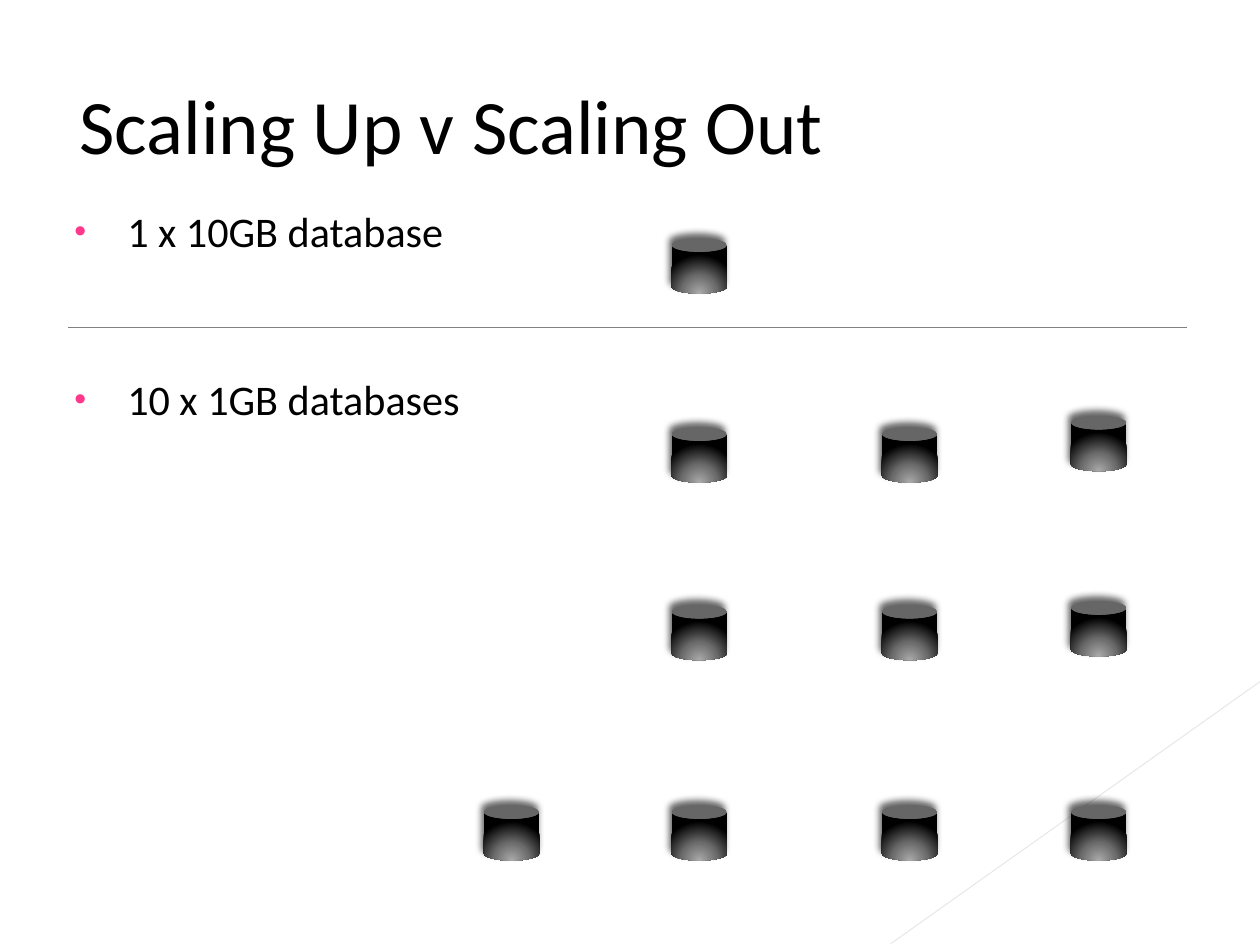
import pptx
import pptx.dml.color
import pptx.enum.shapes
import pptx.enum.text
import pptx.oxml
import pptx.oxml.ns
import pptx.util

RGBColor = pptx.dml.color.RGBColor
Inches = pptx.util.Inches
Pt = pptx.util.Pt
Anchor = pptx.enum.text.MSO_ANCHOR

BLACK = RGBColor(0x00, 0x00, 0x00)
PINK = RGBColor(0xFF, 0x38, 0x8C)
RULE_GREY = RGBColor(0x80, 0x80, 0x80)
PALE_GREY = RGBColor(0xC6, 0xC6, 0xC6)
CAN_LIGHT = RGBColor(0xAB, 0xAB, 0xAB)
CAN_MIDDLE = RGBColor(0x6C, 0x6C, 0x6C)

FONT = "Calibri"
CAN_SIZE = 0.44
NAMESPACE = pptx.oxml.ns.nsdecls("a")

# Boxes are left, top, width, height in inches
TITLE_BOX = (0, 0.22, 10, 1.53)
LIST_BOX = (0.42, 1.58, 4.5, 1.83)
SCALE_UP_BOX = (5.33, 1.89, CAN_SIZE, CAN_SIZE)
SCALE_OUT_BOX = (3.84, 3.39, 5.1, 3.44)

# Offsets of the can grid inside its box
CAN_COLUMNS = (0, 1.49, 3.16, 4.66)
CAN_ROWS = (0, 1.41, 3)
LAST_COLUMN_LIFT = (0.09, 0.03, 0)


def add_xml(parent, markup):
    tag, rest = markup.split(">", 1)
    closing = "/" if tag.endswith("/") else ""
    element = pptx.oxml.parse_xml(f"{tag.rstrip('/')} {NAMESPACE}{closing}>{rest}")
    parent.append(element)
    return element


def place(shape, box):
    shape.left, shape.top, shape.width, shape.height = map(Inches, box)


def write(para, text, size, color=BLACK, space_before=0):
    para.alignment = pptx.enum.text.PP_ALIGN.LEFT
    para.space_before = Pt(space_before)
    span = para.add_run()
    span.text = text
    span.font.name = FONT
    span.font.size = Pt(size)
    span.font.color.rgb = color


def add_line(page, start, end, color, width):
    line = page.shapes.add_connector(
        pptx.enum.shapes.MSO_CONNECTOR.STRAIGHT, *map(Inches, start + end))
    line.line.color.rgb = color
    line.line.width = Pt(width)
    add_xml(line._element.spPr, "<a:effectLst/>")
    return line


def add_corner_line(page):
    line = add_line(page, (10, 5.41), (7.07, 7.49), PALE_GREY, 0.47)
    color = next(line._element.spPr.iter(pptx.oxml.ns.qn("a:srgbClr")))
    add_xml(color, '<a:alpha val="45000"/>')
    # Behind the placeholders
    page.shapes._spTree.insert(2, line._element)


def add_title(page, box):
    title = page.shapes.title
    place(title, box)
    frame = title.text_frame
    frame.auto_size = pptx.enum.text.MSO_AUTO_SIZE.NONE
    frame.vertical_anchor = Anchor.MIDDLE
    frame.margin_left = Inches(0.63)
    write(frame.paragraphs[0], "Scaling Up v Scaling Out", 44)


def add_list(page, box):
    body = page.placeholders[1]
    place(body, box)
    frame = body.text_frame
    frame.auto_size = pptx.enum.text.MSO_AUTO_SIZE.NONE
    frame.vertical_anchor = Anchor.TOP
    items = (("1 x 10GB database", 0), ("10 x 1GB databases", 67))
    for index, (text, gap) in enumerate(items):
        para = frame.add_paragraph() if index else frame.paragraphs[0]
        properties = para._p.get_or_add_pPr()
        properties.set("marL", str(Inches(0.49)))
        properties.set("indent", str(Inches(-0.42)))
        add_xml(properties, f'<a:buClr><a:srgbClr val="{PINK}"/></a:buClr>')
        add_xml(properties, '<a:buSzPct val="80000"/>')
        add_xml(properties, '<a:buChar char="•"/>')
        write(para, text, 24.1, space_before=gap)


def add_can(page, left, top):
    can = page.shapes.add_shape(
        pptx.enum.shapes.MSO_SHAPE.CAN,
        *map(Inches, (left, top, CAN_SIZE, CAN_SIZE)))
    can.fill.background()
    can.line.fill.background()
    properties = can._element.spPr
    # Radial gradient lit from below
    stops = "".join(
        f'<a:gs pos="{share * 1000}"><a:srgbClr val="{color}"/></a:gs>'
        for share, color in ((0, CAN_LIGHT), (46, CAN_MIDDLE), (100, BLACK)))
    gradient = add_xml(
        properties,
        f'<a:gradFill><a:gsLst>{stops}</a:gsLst><a:path path="circle">'
        '<a:fillToRect l="50000" t="155000" r="50000" b="-55000"/>'
        '</a:path></a:gradFill>')
    properties.replace(properties.find(pptx.oxml.ns.qn("a:noFill")), gradient)
    # Soft shadow above the can
    add_xml(
        properties,
        f'<a:effectLst><a:outerShdw blurRad="{Pt(4)}" dist="{Pt(3)}" '
        f'dir="{245 * 60000}" rotWithShape="0"><a:srgbClr val="{BLACK}">'
        '<a:alpha val="60000"/></a:srgbClr></a:outerShdw></a:effectLst>')


def add_scale_up(page, box):
    add_can(page, box[0], box[1])


def add_scale_out(page, box):
    last_row, last_column = len(CAN_ROWS) - 1, len(CAN_COLUMNS) - 1
    for row, down in enumerate(CAN_ROWS):
        for column, across in enumerate(CAN_COLUMNS):
            # The first column holds only the tenth database
            if column == 0 and row != last_row:
                continue
            lift = LAST_COLUMN_LIFT[row] if column == last_column else 0
            add_can(page, box[0] + across, box[1] + down - lift)


def main():
    deck = pptx.Presentation()
    deck.slide_width, deck.slide_height = Inches(10), Inches(7.5)
    page = deck.slides.add_slide(deck.slide_layouts[1])
    add_corner_line(page)
    add_title(page, TITLE_BOX)
    add_list(page, LIST_BOX)
    add_scale_up(page, SCALE_UP_BOX)
    add_scale_out(page, SCALE_OUT_BOX)
    # Rule between the two approaches
    add_line(page, (0.54, 2.6), (9.42, 2.6), RULE_GREY, 0.75)
    deck.save("out.pptx")


if __name__ == "__main__":
    main()
